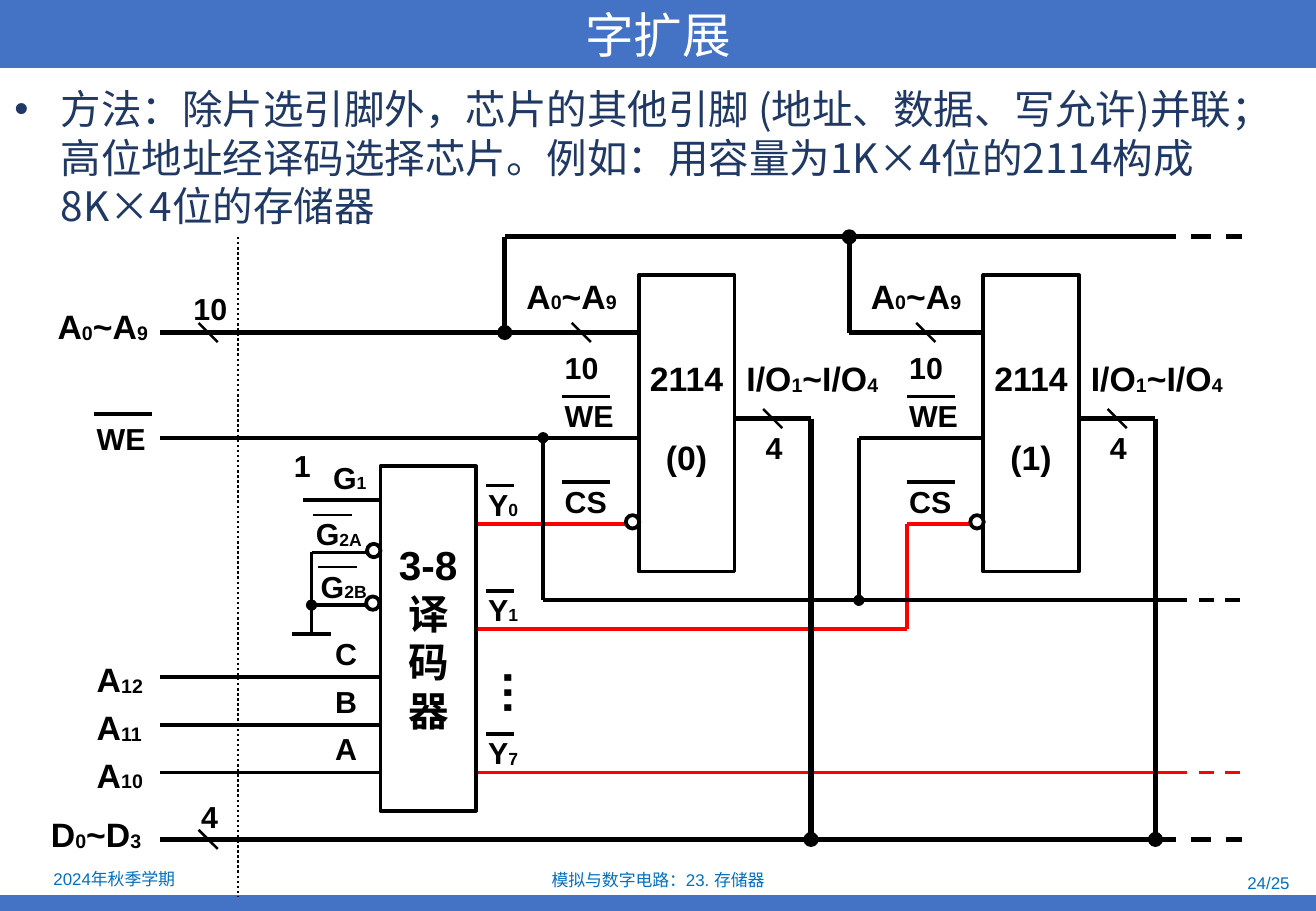
"""Build the slide on word expansion of memory chips with a 3-8 decoder."""
from lxml import etree
from pptx import Presentation
from pptx.dml.color import RGBColor
from pptx.enum.dml import MSO_LINE
from pptx.enum.shapes import MSO_CONNECTOR, MSO_SHAPE
from pptx.enum.text import MSO_ANCHOR, PP_ALIGN
from pptx.oxml.ns import qn
from pptx.util import Cm, Inches, Pt

STRAIGHT = MSO_CONNECTOR.STRAIGHT
RECTANGLE, OVAL = MSO_SHAPE.RECTANGLE, MSO_SHAPE.OVAL
DASH, DOTS = MSO_LINE.DASH, MSO_LINE.ROUND_DOT
LEFT, CENTER, RIGHT = PP_ALIGN.LEFT, PP_ALIGN.CENTER, PP_ALIGN.RIGHT
TOP, MIDDLE = MSO_ANCHOR.TOP, MSO_ANCHOR.MIDDLE
COLORS = {name: RGBColor.from_string(value) for name, value in {
    "bar": "4472C4", "footer": "0070C0", "body": "203864",
    "black": "000000", "red": "FF0000", "white": "FFFFFF"}.items()}
LATIN, CHINESE = "Arial", "Noto Sans CJK SC"
UNIT = Cm(0.2)
GRID_LEFT, GRID_TOP = Inches(1.32), Inches(1.95)
BUS, SIGNAL, THIN = 3, 2.25, 1.5
PITCH = 36
END = 113

deck = Presentation()
deck.slide_width, deck.slide_height = Inches(10.83), Inches(7.5)
page = deck.slides.add_slide(deck.slide_layouts[6])
shapes = page.shapes


def write(box, text, size, color="black", bold=True, align=LEFT, anchor=TOP,
          wrap=True, font=LATIN):
    """Fill a box; each second piece between bars is a subscript."""
    frame = box.text_frame
    frame.word_wrap = wrap
    frame.vertical_anchor = anchor
    frame.text = text.replace("|", "")
    for para, line in zip(frame.paragraphs, text.split("\n")):
        para.text = ""
        para.alignment = align
        for index, piece in enumerate(line.split("|")):
            span = para.add_run()
            span.text = piece
            span.font.size, span.font.bold, span.font.name = Pt(size), bold, font
            span.font.color.rgb = COLORS[color]
            properties = span.font._element
            etree.SubElement(properties, qn("a:ea"), typeface=CHINESE)
            if index % 2:
                properties.set("baseline", "-2000")
    return frame


def wire(x1, y1, x2, y2, width=SIGNAL, color="black", dash=None, dot=None):
    """Draw a line between two grid points, with a dot at head or tail."""
    line = shapes.add_connector(
        STRAIGHT, GRID_LEFT + int(x1 * UNIT), GRID_TOP + int(y1 * UNIT),
        GRID_LEFT + int(x2 * UNIT), GRID_TOP + int(y2 * UNIT))
    line.line.width = Pt(width)
    line.line.color.rgb = COLORS[color]
    if dash:
        line.line.dash_style = dash
    if dot:
        etree.SubElement(line.line._get_or_add_ln(), qn(f"a:{dot}End"), type="oval")
    etree.SubElement(line._element.spPr, qn("a:effectLst"))


for top, height, title in [(0, 0.56, "字扩展"), (7.37, 0.13, "")]:
    bar = shapes.add_shape(RECTANGLE, 0, Inches(top), deck.slide_width, Inches(height))
    bar.shadow.inherit = False
    bar.fill.solid()
    bar.fill.fore_color.rgb = COLORS["bar"]
    bar.line.fill.background()
    if title:
        write(bar, title, 28.8, "white", False, CENTER, MIDDLE)

for left, top, width, text, align in [
        (0.02, 7.13, 1.84, "2024年秋季学期", CENTER),
        (3.7, 7.14, 3.43, "模拟与数字电路：23. 存储器", CENTER),
        (8.18, 7.16, 2.53, "24/25", RIGHT)]:
    footer = shapes.add_textbox(Inches(left), Inches(top), Inches(width), Inches(0.21))
    write(footer, text, 10, "footer", False, align, MIDDLE)

body = shapes.add_textbox(Inches(0.02), Inches(0.64), Inches(10.21), Inches(6.5))
frame = write(body, "方法：除片选引脚外，芯片的其他引脚 (地址、数据、写允许)并联；"
              "高位地址经译码选择芯片。例如：用容量为1K×4位的2114构成8K×4位的存储器",
              24, "body", False, font=CHINESE)
frame.margin_top = Inches(0.06)
para = frame.paragraphs[0]
para.line_spacing = Pt(28.5)
bullet = para._p.get_or_add_pPr()
bullet.set("marL", str(Inches(0.38)))
bullet.set("indent", str(-Inches(0.38)))
etree.SubElement(bullet, qn("a:buFont"), typeface=LATIN)
etree.SubElement(bullet, qn("a:buChar"), char="•")

labels = [
    (-12, 6.6, 0.97, "A|0|~A|9", 20), (-12.7, 59.7, 0.97, "D|0|~D|3", 20),
    (2.2, 4.9, 0.48, "10", 18), (3, 58.1, 0.34, "4", 18),
    (-7.9, 18.5, 0.6, "WE", 18), (12.7, 21.4, 0.34, "1", 18),
    (16.8, 22.6, 0.49, "G|1", 18), (15, 28.5, 0.61, "G|2A", 18),
    (15.5, 34, 0.61, "G|2B", 18)]
outlines = [(RECTANGLE, 23, 24, 10, 36)]
bubbles = [(21.6, 32.1), (21.5, 37.6)]
centered = [(22, 31, 12, 21.6, "3-8\n译\n码\n器", 24)]

for row, name in [(30, "0"), (41, "1"), (56, "7")]:
    labels.append((33, row - 4.6, 0.46, f"Y|{name}", 18))
    wire(34, row - 4, 37, row - 4)
for row, pin, address in [(46, "C", "12"), (51, "B", "11"), (56, "A", "10")]:
    labels += [(17, row - 5, 0.38, pin, 18), (-7.9, row - 2.5, 0.6, f"A|{address}", 20)]
    wire(0, row, 23, row)

wire(33, 30, 50, 30, color="red")
wire(33, 41, 78, 41, color="red")
wire(78, 30, 78, 41, color="red")
wire(78, 30, 86, 30, color="red")
wire(33, 56, 107, 56, color="red")
wire(103, 56, END, 56, color="red", dash=DASH)

for chip in range(2):
    shift = chip * PITCH
    outlines.append((RECTANGLE, 50 + shift, 4, 10, 31))
    bubbles.append((48.65 + shift, 29.1))
    centered.append((48 + shift, 12, 14, 14, f"2114\n({chip})", 20))
    labels += [(37 + shift, 3.4, 0.97, "A|0|~A|9", 20), (41 + shift, 11.1, 0.48, "10", 18),
               (41 + shift, 16.1, 0.6, "WE", 18), (41 + shift, 25.1, 0.55, "CS", 18),
               (60 + shift, 12, 1.3, "I/O|1|~I/O|4", 20), (62 + shift, 19.5, 0.34, "4", 18)]
    for row in (16.7, 25.6):
        wire(42 + shift, row, 47 + shift, row)
    wire(43 + shift, 9, 45 + shift, 11, THIN)
    wire(63 + shift, 18, 65 + shift, 20, THIN)
    wire(60 + shift, 19, 68 + shift, 19, BUS)
    wire(68 + shift, 19, 68 + shift, 63, BUS, dot="tail")
    wire(36 + shift, 0, 36 + shift, 10, BUS, dot=("tail", "head")[chip])

wire(0, 10, 50, 10, BUS)
wire(72, 10, 86, 10, BUS)
wire(36, 0, 104, 0, BUS)
wire(0, 63, 104, 63, BUS)
for row in (0, 63):
    wire(104, row, END, row, BUS, dash=DASH)
for row in (10, 63):
    wire(4, row - 1, 6, row + 1, THIN)

wire(-6.9, 18.5, -0.9, 18.5)
wire(0, 21, 50, 21)
wire(73, 21, 86, 21)
wire(40, 21, 40, 38, dot="head")
wire(73, 21, 73, 38, dot="tail")
wire(40, 38, 106, 38)
wire(103, 38, END, 38, dash=DASH)
wire(8.1, 0, 8.1, 69, THIN, dash=DOTS)

wire(14.9, 27.5, 23, 27.5)
wire(15.8, 33, 22.8, 33)
wire(15.8, 38.5, 22.8, 38.5, dot="head")
wire(15.8, 33, 15.8, 41.5)
wire(13.8, 41.5, 17.8, 41.5)
wire(16, 29.1, 20, 29.1, THIN)
wire(16.5, 34.5, 20.5, 34.5, THIN)

outlines += [(OVAL, column, row, 1.4, 1.4) for column, row in bubbles]
for kind, column, row, width, height in outlines:
    outline = shapes.add_shape(kind, GRID_LEFT + int(column * UNIT), GRID_TOP + int(row * UNIT),
                               int(width * UNIT), int(height * UNIT))
    outline.shadow.inherit = False
    outline.line.color.rgb = COLORS["black"]
    outline.line.width = Pt(SIGNAL)
    if kind == OVAL:
        outline.fill.solid()
        outline.fill.fore_color.rgb = COLORS["white"]
    else:
        outline.fill.background()

for column, row, width, text, size in labels:
    label = shapes.add_textbox(GRID_LEFT + int(column * UNIT), GRID_TOP + int(row * UNIT),
                               Inches(width + 0.03), Inches(0.1 + size / 60))
    write(label, text, size, wrap=False)

for column, row, width, height, text, size in centered:
    name = shapes.add_textbox(GRID_LEFT + int(column * UNIT), GRID_TOP + int(row * UNIT),
                              int(width * UNIT), int(height * UNIT))
    frame = write(name, text, size, align=CENTER)
    if size == 24:
        for para in frame.paragraphs:
            para.line_spacing = Pt(29)
    else:
        frame.paragraphs[1].space_before = Pt(23)

dots = shapes.add_textbox(GRID_LEFT + 33 * UNIT, GRID_TOP + 44 * UNIT, Inches(0.67), Inches(0.49))
frame = write(dots, "…", 28, wrap=False)
frame._txBody.bodyPr.set("vert", "eaVert")

deck.save("out.pptx")
